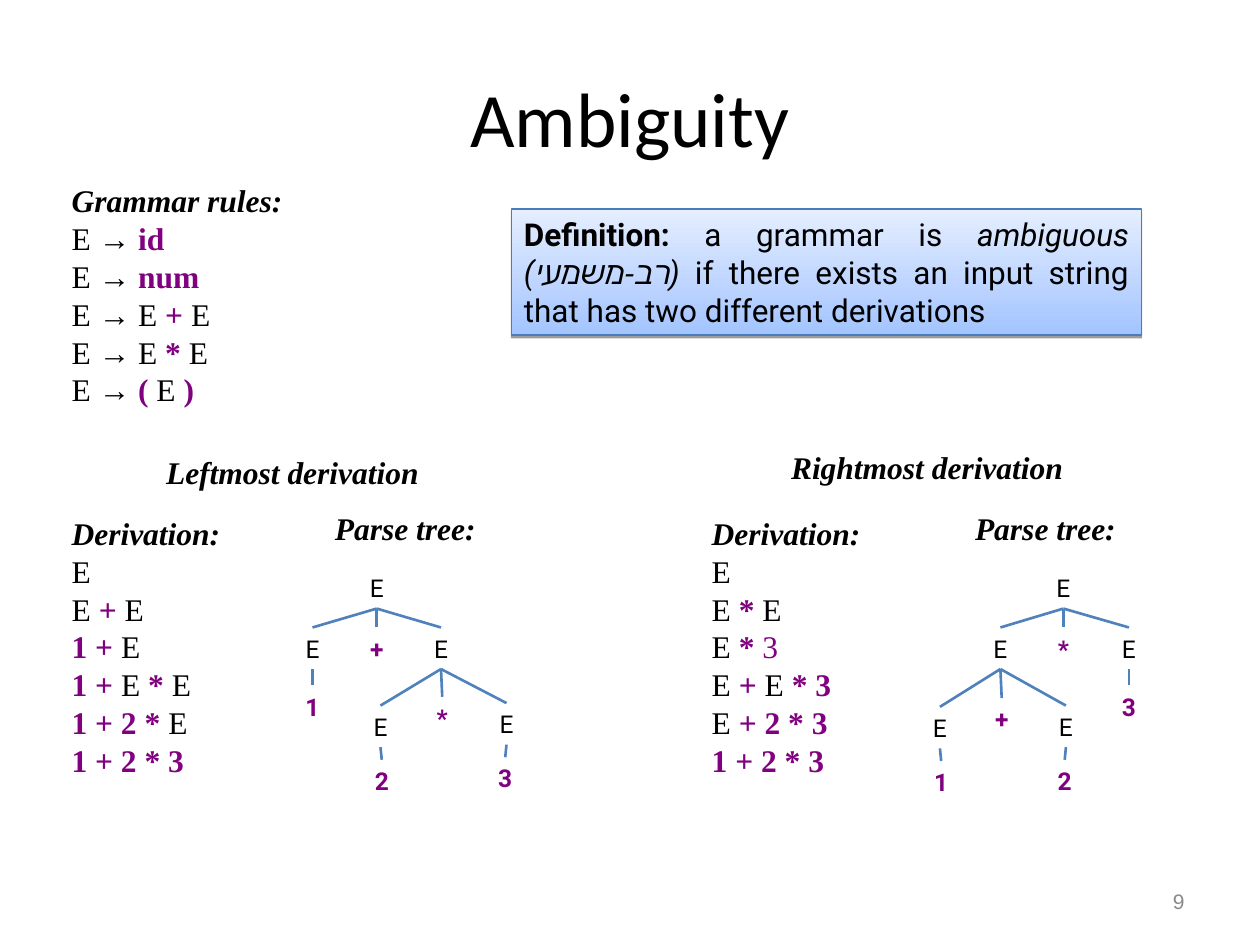
from dataclasses import dataclass
from itertools import groupby
from typing import Iterator

from lxml.etree import SubElement
from pptx import Presentation
from pptx.dml.color import RGBColor
from pptx.enum.shapes import MSO_CONNECTOR, MSO_SHAPE
from pptx.enum.text import MSO_ANCHOR, PP_ALIGN
from pptx.oxml.ns import qn
from pptx.util import Inches, Pt

BLACK, PURPLE, BLUE = "000000", "800080", "4F81BD"
SERIF, SANS = "Times New Roman", "Roboto"
NODE_W, NODE_H = 0.31, 0.33
SIDE_GAP = 5.08
# Marks that switch a style on and off: terminal, bold, italic, purple
TERM, BOLD, ITAL, TINT = MARKS = "|^_~"


@dataclass
class Node:
    text: str
    mid: float
    top: float
    kids: tuple["Node", ...] = ()


@dataclass
class Side:
    title: str
    spot: tuple[float, float]
    steps: str
    tree: Node


def colour(code: str) -> RGBColor:
    return RGBColor.from_string(code)


def split(text: str) -> Iterator[tuple[str, frozenset]]:
    """Yield each piece of marked text with the marks in force."""
    live = frozenset()
    for key, part in groupby(text, lambda c: c if c in MARKS + "→\v" else ""):
        if key and key in MARKS:
            live ^= {key}
        else:
            yield "".join(part), live


def write(shape, text: str, *, size=18, font=SERIF, ink=BLACK, wrap=True,
          align=PP_ALIGN.LEFT, anchor=MSO_ANCHOR.TOP, before=0) -> None:
    """Fill a shape with marked text, one paragraph a line."""
    frame = shape.text_frame
    frame.word_wrap, frame.vertical_anchor = wrap, anchor
    for i, line in enumerate(text.split("\n")):
        para = frame.paragraphs[0] if i == 0 else frame.add_paragraph()
        para.alignment = align
        if before:
            para.space_before = Pt(before)
        for piece, live in split(line):
            if piece == "\v":
                para.add_line_break()
                continue
            run = para.add_run()
            run.text = piece
            face = run.font
            face.name = "Arial" if piece == "→" else font
            face.size = Pt(size)
            face.bold = bool(live & {TERM, BOLD})
            face.italic = ITAL in live
            face.color.rgb = colour(PURPLE if live & {TERM, TINT} else ink)


def add_text(slide, x: float, y: float, w: float, h: float, text: str, **look):
    box = slide.shapes.add_textbox(Inches(x), Inches(y), Inches(w), Inches(h))
    write(box, text, **look)
    return box


def link(slide, upper, lower) -> None:
    line = slide.shapes.add_connector(MSO_CONNECTOR.STRAIGHT, 0, 0, 0, 0)
    line.begin_connect(upper, 2)
    line.end_connect(lower, 0)
    line.line.color.rgb = colour(BLUE)
    line.line.width = Pt(1.5)
    SubElement(line._element.spPr, qn("a:effectLst"))


def draw_tree(slide, node: Node):
    """Draw a node and all below it, and return the node's box."""
    label = node.text if node.text == "E" else TERM + node.text + TERM
    box = add_text(slide, node.mid - NODE_W / 2, node.top, NODE_W, NODE_H, label,
                   size=14, font=SANS, wrap=False, align=PP_ALIGN.CENTER)
    for kid in node.kids:
        link(slide, box, draw_tree(slide, kid))
    return box


def draw_side(slide, side: Side, left: float) -> None:
    add_text(slide, *side.spot, 2.36, 0.4, f"^_{side.title}_^")
    add_text(slide, left, 4.03, 1.38, 2.2, "^_Derivation:_^\n" + side.steps, wrap=False)
    add_text(slide, left + 2.09, 3.99, 1.32, 0.4, "^_Parse tree:_^", wrap=False)
    draw_tree(slide, side.tree)


def draw_note(slide, text: str) -> None:
    note = slide.shapes.add_shape(
        MSO_SHAPE.RECTANGLE, Inches(4.06), Inches(1.66), Inches(5), Inches(1))
    note.fill.gradient()
    note.fill.gradient_angle = 90
    for stop, code in zip(note.fill.gradient_stops, ("A3C4FF", "E5EEFF")):
        stop.color.rgb = colour(code)
    note.line.color.rgb = colour("4A7EBB")
    note.line.width = Pt(0.75)
    note.shadow.inherit = False
    cast = SubElement(note._element.spPr.find(qn("a:effectLst")), qn("a:outerShdw"),
                      dist=str(Pt(1.6)), dir="5400000", rotWithShape="0")
    shade = SubElement(cast, qn("a:srgbClr"), val=BLACK)
    SubElement(shade, qn("a:alpha"), val="38000")
    write(note, text, font=SANS, align=PP_ALIGN.JUSTIFY, before=11.2)


RULES = """^_Grammar rules:_^
E → |id|
E → |num|
E → E |+| E
E → E |*| E
E → |(| E |)|"""

LEFT = Side(
    "Leftmost derivation", (1.22, 3.55),
    "E\nE |+| E\n|1 +| E\n|1 +| E |*| E\n|1 + 2 *| E\n|1 + 2 * 3|",
    Node("E", 2.99, 4.5, (
        Node("E", 2.48, 4.98, (Node("1", 2.48, 5.44),)),
        Node("+", 2.99, 4.98),
        Node("E", 3.5, 4.98, (
            Node("E", 3.02, 5.6, (Node("2", 3.03, 6.03),)),
            Node("*", 3.51, 5.53),
            Node("E", 4.02, 5.58, (Node("3", 4.01, 6.01),)))))))

RIGHT = Side(
    "Rightmost derivation", (6.18, 3.51),
    "E\nE |*| E\nE |*| ~3~\nE |+| E |* 3|\nE |+ 2 * 3|\n|1 + 2 * 3|",
    Node("E", 8.44, 4.5, (
        Node("E", 7.94, 4.98, (
            Node("E", 7.46, 5.61, (Node("1", 7.47, 6.04),)),
            Node("+", 7.95, 5.54),
            Node("E", 8.46, 5.6, (Node("2", 8.45, 6.03),)))),
        Node("*", 8.44, 4.98),
        Node("E", 8.96, 4.98, (Node("3", 8.96, 5.44),)))))


def main() -> None:
    deck = Presentation()
    deck.slide_width, deck.slide_height = Inches(10), Inches(7.5)
    slide = deck.slides.add_slide(deck.slide_layouts[6])
    add_text(slide, 0.5, 0.3, 9, 1.25, "Ambiguity", size=44, font="Calibri",
             align=PP_ALIGN.CENTER, anchor=MSO_ANCHOR.MIDDLE)
    add_text(slide, 7.17, 6.95, 2.33, 0.4, "9", size=12, font="Arial", ink="898989",
             align=PP_ALIGN.RIGHT, anchor=MSO_ANCHOR.MIDDLE)
    for i, side in enumerate((LEFT, RIGHT)):
        draw_side(slide, side, 0.47 + i * SIDE_GAP)
    add_text(slide, 0.47, 1.39, 2.09, 1.9, RULES)
    draw_note(slide, "^Definition:^ a grammar is _ambiguous\v(רב-משמעי)_ if there exists "
                     "an input string that has two different derivations")
    deck.save("out.pptx")


if __name__ == "__main__":
    main()
